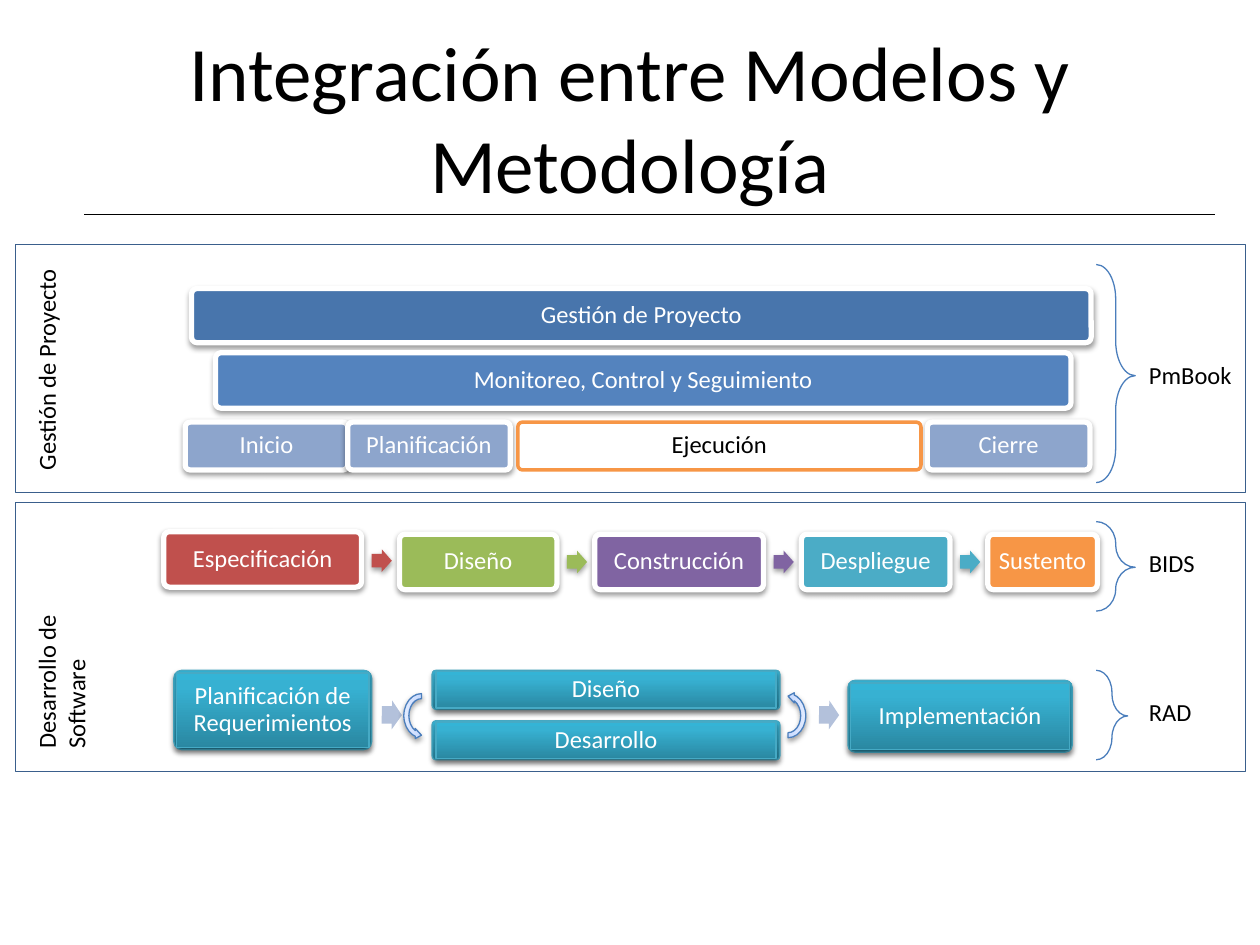
from pptx import Presentation
from pptx.dml.color import RGBColor
from pptx.enum.shapes import MSO_CONNECTOR as Line, MSO_SHAPE as Shape
from pptx.enum.text import MSO_ANCHOR as Anchor, PP_ALIGN as Align
from pptx.oxml import parse_xml
from pptx.oxml.ns import nsdecls, qn
from pptx.util import Inches, Pt

COLORS = {
    "ink": "000000", "white": "FFFFFF", "management": "4875AC", "control": "5483BE",
    "phase": "8DA5CC", "orange": "F79646", "red": "C0504D", "green": "9BBB59",
    "purple": "8064A2", "aqua": "4BACC6", "teal_edge": "46AAC5", "pale": "B3C1DB",
    "brace": "4B7EBC", "frame": "3A5F8C",
}
TEAL = [(0, "2A88A2"), (80, "37B1D2"), (100, "34B4D6")]
SKY = [(0, "A4C4FF"), (35, "BFD4FF"), (100, "E6EEFF")]
SOFT = (38, 3.1, 1.6, 90)
DEEP = (35, 3.1, 1.8, 90)


class Diagram:
    """Draws styled elements on one slide."""

    def __init__(self, slide, font="Calibri", size=14):
        self.slide, self.font, self.size = slide, font, size

    def color(self, name):
        return RGBColor.from_string(COLORS[name])

    def shadow(self, effects, opacity, blur, distance, angle):
        effects.append(parse_xml(
            f'<a:outerShdw {nsdecls("a")} blurRad="{Pt(blur)}" dist="{Pt(distance)}" '
            f'dir="{angle * 60000}" rotWithShape="0"><a:srgbClr val="{COLORS["ink"]}">'
            f'<a:alpha val="{opacity * 1000}"/></a:srgbClr></a:outerShdw>'))

    def gradient(self, shape, stops):
        shape.fill.background()
        marks = "".join(f'<a:gs pos="{position * 1000}"><a:srgbClr val="{value}"/></a:gs>'
                        for position, value in stops)
        properties = shape._element.spPr
        properties.replace(properties.find(qn("a:noFill")), parse_xml(
            f'<a:gradFill {nsdecls("a")} rotWithShape="1"><a:gsLst>{marks}</a:gsLst>'
            f'<a:lin ang="16200000" scaled="0"/></a:gradFill>'))

    def shape(self, kind, box, fill=None, edge=None, width=0.75, shadow=None,
              adjust=(), rotation=0, flip=None):
        shape = self.slide.shapes.add_shape(kind, *map(Inches, box))
        shape.rotation = rotation
        for index, value in enumerate(adjust):
            shape.adjustments[index] = value
        if isinstance(fill, list):
            self.gradient(shape, fill)
        elif fill:
            shape.fill.solid()
            shape.fill.fore_color.rgb = self.color(fill)
        else:
            shape.fill.background()
        if edge:
            shape.line.color.rgb = self.color(edge)
            shape.line.width = Pt(width)
        else:
            shape.line.fill.background()
        shape.shadow.inherit = False
        properties = shape._element.spPr
        if shadow:
            self.shadow(properties.find(qn("a:effectLst")), *shadow)
        if flip:
            properties.find(qn("a:xfrm")).set(flip, "1")
        return shape

    def set_text(self, shape, text, color="ink", size=None, align=Align.CENTER):
        frame = shape.text_frame
        frame.word_wrap = True
        frame.text = text
        paragraph = frame.paragraphs[0]
        paragraph.alignment = align
        paragraph.font.name = self.font
        paragraph.font.size = Pt(size or self.size)
        paragraph.font.color.rgb = self.color(color)
        return frame

    def set_inner_text(self, shape, text, color):
        frame = self.set_text(shape, text, color)
        frame.vertical_anchor = Anchor.MIDDLE
        frame.paragraphs[0].line_spacing = 0.9
        frame.margin_left = frame.margin_right = Inches(0.06)
        frame.margin_top = frame.margin_bottom = Inches(0.06)

    def card(self, text, box, fill, edge="white", width=3, color="white", shadow=SOFT):
        card = self.shape(Shape.ROUNDED_RECTANGLE, box, fill, edge, width, shadow, [0.1])
        self.set_inner_text(card, text, color)

    def glossy(self, text, box, dx=0.02, dy=0.02):
        left, top, width, height = box
        inner = (left + dx, top + dy, width - 2 * dx, height - 2 * dy)
        self.shape(Shape.ROUNDED_RECTANGLE, box, TEAL, "teal_edge", shadow=DEEP, adjust=[0.1])
        face = self.shape(Shape.RECTANGLE, inner, TEAL, "teal_edge", shadow=DEEP)
        self.set_inner_text(face, text, "white")

    def arrow(self, box, fill, shadow=None, rotation=0):
        self.shape(Shape.RIGHT_ARROW, box, fill, shadow=shadow, adjust=[0.6, 0.5],
                   rotation=rotation)

    def label(self, text, box, size=None, align=Align.LEFT, anchor=Anchor.TOP, vertical=False):
        label = self.slide.shapes.add_textbox(*map(Inches, box))
        frame = self.set_text(label, text, size=size, align=align)
        frame.vertical_anchor = anchor
        if vertical:
            frame._txBody.bodyPr.set("vert", "vert270")

    def rule(self, left, right, top):
        rule = self.slide.shapes.add_connector(
            Line.STRAIGHT, Inches(left), Inches(top), Inches(right), Inches(top))
        rule.line.color.rgb = self.color("ink")
        rule.line.width = Pt(0.75)
        effects = parse_xml(f'<a:effectLst {nsdecls("a")}/>')
        rule._element.spPr.append(effects)
        self.shadow(effects, 40, 4, 3, 45)


def main():
    presentation = Presentation()
    presentation.slide_width, presentation.slide_height = Inches(10), Inches(7.5)
    diagram = Diagram(presentation.slides.add_slide(presentation.slide_layouts[6]))

    diagram.label("Integración entre Modelos y Metodología", (0.5, 0.3, 9, 1.25),
                  size=44, align=Align.CENTER, anchor=Anchor.MIDDLE)
    diagram.rule(0.67, 9.64, 1.7)

    diagram.card("Gestión de Proyecto", (1.52, 2.29, 7.14, 0.43), "management")
    diagram.card("Monitoreo, Control y Seguimiento", (1.71, 2.8, 6.79, 0.44), "control")
    for phase, left in [("Inicio", 1.47), ("Planificación", 2.76), ("Cierre", 7.36)]:
        diagram.card(phase, (left, 3.35, 1.29, 0.38), "phase")
    diagram.card("Ejecución", (4.11, 3.35, 3.2, 0.38), "white", "orange", 2, "ink", None)

    stages = [("Especificación", 1.57, "red"), ("Diseño", 1.25, "green"),
              ("Construcción", 1.34, "purple"), ("Despliegue", 1.18, "aqua"),
              ("Sustento", 0.87, "orange")]
    left = 1.3
    for index, (stage, width, fill) in enumerate(stages):
        first = index == 0
        diagram.card(stage, (left, 4.22 if first else 4.24, width, 0.44), fill)
        left += width + 0.3
        if index < len(stages) - 1:
            diagram.arrow((left - 0.22, 4.36 if first else 4.37, 0.16, 0.18), fill, SOFT,
                          0.7 if first else 0)

    diagram.glossy("Planificación de Requerimientos", (1.38, 5.32, 1.57, 0.63))
    for activity, top in [("Diseño", 5.32), ("Desarrollo", 5.72)]:
        diagram.glossy(activity, (3.43, top, 2.76, 0.31), 0.03, 0.01)
    diagram.glossy("Implementación", (6.73, 5.4, 1.78, 0.57))
    for left in (3.03, 6.5):
        diagram.arrow((left, 5.56, 0.16, 0.23), "pale", rotation=0.9)
    for left, flip in [(3.15, "flipV"), (6.06, "flipH")]:
        diagram.shape(Shape.CIRCULAR_ARROW, (left, 5.52, 0.39, 0.32), SKY, "brace",
                      shadow=SOFT, rotation=90, flip=flip)

    for top, width, height in [(2.1, 0.31, 1.73), (4.14, 0.31, 0.71), (5.32, 0.25, 0.71)]:
        diagram.shape(Shape.LEFT_BRACE, (8.7, top, width, height), edge="brace",
                      adjust=[0.88, 0.51], flip="flipH")
    for area, top, height, label_height in [("Gestión de Proyecto", 1.94, 1.97, 1.81),
                                            ("Desarrollo de Software", 3.99, 2.13, 1.97)]:
        diagram.shape(Shape.RECTANGLE, (0.12, top, 9.76, height), edge="frame", width=0.25)
        diagram.label(area, (0.2, top + 0.08, 0.44, label_height), vertical=True)
    for model, top, width in [("PmBook", 2.81, 0.98), ("BIDS", 4.3, 0.83), ("RAD", 5.48, 0.75)]:
        diagram.label(model, (9.02, top, width, 0.34))

    presentation.save("out.pptx")


if __name__ == "__main__":
    main()
